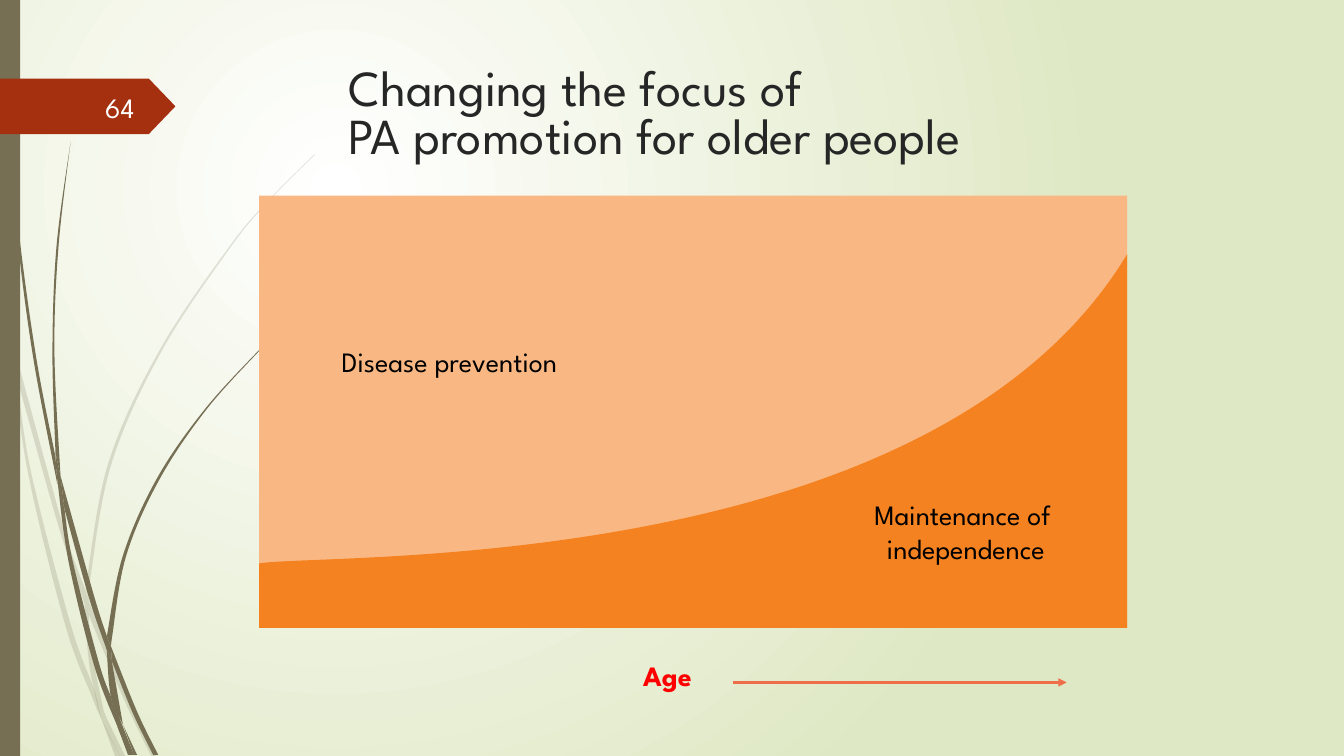
from lxml.etree import SubElement
from pptx import Presentation
from pptx.dml.color import RGBColor
from pptx.enum.shapes import MSO_CONNECTOR, MSO_SHAPE
from pptx.enum.text import MSO_ANCHOR, MSO_AUTO_SIZE, PP_ALIGN
from pptx.oxml.ns import qn
from pptx.util import Inches, Pt

WHITE = RGBColor(0xFF, 0xFF, 0xFF)
PALE_GREEN = RGBColor(0xDF, 0xE8, 0xC4)
OLIVE = RGBColor(0x76, 0x6F, 0x54)
RUST = RGBColor(0xA5, 0x30, 0x10)
PEACH = RGBColor(0xF9, 0xB8, 0x83)
ORANGE = RGBColor(0xF5, 0x82, 0x20)
CORAL = RGBColor(0xEE, 0x6E, 0x4B)
RED = RGBColor(0xFF, 0x00, 0x00)
BLACK = RGBColor(0x00, 0x00, 0x00)
CHARCOAL = RGBColor(0x26, 0x26, 0x26)
NUMBER_WHITE = RGBColor(0xFE, 0xFF, 0xFF)

FONT = "League Spartan"
LEFT, TOP, RIGHT, BOTTOM = 2.57, 1.94, 11.18, 6.23

PALE_STRANDS = [
    [[(0, 2.82), (0.09, 3.22), (0.11, 3.5)], [(0.1, 3.44), (0, 2.99)]],
    [[(0.14, 3.45), (0.62, 5.2), (0.85, 5.86)], [(0.84, 5.99), (0.58, 5.22), (0.17, 3.76)]],
    [[(0.88, 5.96), (1.27, 6.92), (1.55, 7.5)], [(1.5, 7.5), (1.23, 6.94), (0.88, 6.1)]],
    [[(1.05, 7.11), (1.24, 7.5)], [(1.19, 7.5)]],
    [[(0.11, 3.5), (0.28, 4.7), (0.65, 6.21), (0.92, 6.93), (1.01, 7.14)],
     [(0.99, 7.07), (0.93, 6.83), (0.7, 6.19), (0.31, 4.69), (0.17, 3.76)]],
    [[(0.84, 5.99), (0.87, 6.46), (0.93, 6.83), (1.05, 7.11)],
     [(1.03, 7.06), (0.91, 6.46), (0.88, 6.1)]],
    [[(0.88, 5.84), (1.1, 4.62), (1.6, 3.49), (2.29, 2.45), (2.68, 1.98), (3.12, 1.54)],
     [(3.12, 1.53), (2.68, 1.97), (2.28, 2.44), (1.58, 3.48), (1.07, 4.61), (0.85, 5.84)],
     [(0.88, 5.96)]],
    [[(1.01, 7.14), (1.14, 7.5)], [(1.19, 7.5)]],
    [[(0.88, 6.1), (0.88, 5.96)], [(0.85, 5.86), (0.84, 5.99)]],
    [[(0.93, 6.83), (1.01, 7.14), (1.19, 7.5)], [(1.05, 7.11), (0.96, 6.92)]],
]
DARK_STRANDS = [
    [[(0.04, 0), (0.08, 1.09), (0.19, 2.32), (0.36, 3.55), (0.55, 4.53)],
     [(0.57, 4.81), (0.33, 3.55), (0.17, 2.33), (0.07, 1.1), (0.03, 0)]],
    [[(0.6, 4.72), (0.93, 5.9), (1.06, 6.31)], [(1.06, 6.45), (0.88, 5.92), (0.64, 5.05)]],
    [[(1.1, 6.41), (1.36, 7.06), (1.57, 7.49)], [(1.52, 7.49), (1.32, 7.08), (1.11, 6.56)]],
    [[(0.57, 4.77), (0.68, 5.57), (0.93, 6.59), (1.17, 7.22)],
     [(1.1, 6.91), (0.98, 6.57), (0.72, 5.56), (0.64, 5.05)]],
    [[(0.6, 4.72), (0.54, 3.49), (0.58, 2.45), (0.7, 1.41)],
     [(0.7, 1.41), (0.56, 2.45), (0.52, 3.49), (0.55, 4.49)]],
    [[(1.22, 7.19), (1.36, 7.49)], [(1.33, 7.49)]],
    [[(0.55, 4.49), (0.57, 4.77), (0.64, 5.05)], [(0.6, 4.72)]],
    [[(1.11, 6.33), (1.25, 5.52), (1.58, 4.76), (2.05, 4.06), (2.61, 3.44)],
     [(2.6, 3.44), (2.04, 4.05), (1.56, 4.74), (1.22, 5.51), (1.06, 6.31)], [(1.1, 6.41)]],
    [[(1.17, 7.22), (1.27, 7.49)], [(1.31, 7.49)]],
    [[(1.06, 6.45), (1.1, 6.91), (1.22, 7.19)], [(1.11, 6.56)]],
    [[(1.06, 6.31), (1.06, 6.45)], [(1.11, 6.56), (1.1, 6.41)]],
    [[(1.1, 6.91), (1.17, 7.22), (1.3, 7.49)], [(1.33, 7.49), (1.16, 7.06)]],
]


def straight(start, end):
    return [start, end, end]


def smooth_edge(points):
    padded = [points[0], *points, points[-1]]
    curve = []
    for before, start, end, after in zip(padded, padded[1:], padded[2:], padded[3:]):
        first = [s + (e - b) / 6 for b, s, e in zip(before, start, end)]
        second = [e - (a - s) / 6 for s, e, a in zip(start, end, after)]
        curve += [first, second, end]
    return curve


def strand_outline(edges):
    outline = [edges[0][0]]
    for edge in edges:
        if edge[0] != outline[-1]:
            outline += straight(outline[-1], edge[0])
        outline += smooth_edge(edge)
    return outline


def paint(shape, color, opacity=100):
    shape.shadow.inherit = False
    shape.fill.solid()
    shape.fill.fore_color.rgb = color
    shape.line.fill.background()
    if opacity < 100:
        fill_color = next(shape._element.spPr.iter(qn("a:srgbClr")))
        SubElement(fill_color, qn("a:alpha"), val=str(opacity * 1000))


def add_curved_outline(shapes, outline, color, opacity=100):
    start, *controls = [tuple(map(Inches, point)) for point in outline]
    builder = shapes.build_freeform(*start)
    builder.add_line_segments(controls, close=True)
    shape = builder.convert_to_shape()
    lines = list(shape._element.iter(qn("a:lnTo")))
    for index in range(0, len(lines), 3):
        curve = lines[index]
        curve.tag = qn("a:cubicBezTo")
        for line in lines[index + 1:index + 3]:
            curve.append(line[0])
            line.getparent().remove(line)
    paint(shape, color, opacity)


def add_wisps(page, strands, opacity=100):
    group = page.shapes.add_group_shape()
    for edges in strands:
        add_curved_outline(group.shapes, strand_outline(edges), OLIVE, opacity)


def add_block(page, kind, area, color):
    block = page.shapes.add_shape(kind, *map(Inches, area))
    paint(block, color)
    return block


def add_text(page, area, lines, color, size=20, bold=False, frame=None, layout=None):
    box = page.shapes.add_textbox(*map(Inches, area))
    for name, value in (frame or {}).items():
        setattr(box.text_frame, name, value)
    box.text_frame.text = "\n".join(lines)
    for para in box.text_frame.paragraphs:
        for name, value in (layout or {}).items():
            setattr(para, name, value)
        for span in para.runs:
            for name, value in {"name": FONT, "size": Pt(size), "bold": bold}.items():
                setattr(span.font, name, value)
            span.font.color.rgb = color


def add_arrow(page, start, end):
    arrow = page.shapes.add_connector(MSO_CONNECTOR.STRAIGHT, *map(Inches, start + end))
    arrow.line.color.rgb = CORAL
    arrow.line.width = Pt(2)
    SubElement(arrow.line._get_or_add_ln(), qn("a:tailEnd"), type="triangle")
    SubElement(arrow._element.spPr, qn("a:effectLst"))


def set_background(page):
    fill = page.background.fill
    fill.gradient()
    for stop, color in zip(fill.gradient_stops, (WHITE, PALE_GREEN)):
        stop.color.rgb = color
    gradient = next(page.element.iter(qn("a:gradFill")))
    gradient.remove(gradient.find(qn("a:lin")))
    circle = SubElement(gradient, qn("a:path"), {"path": "circle"})
    SubElement(circle, qn("a:fillToRect"), l="50000", t="50000", r="100000", b="100000")


def add_focus_diagram(page):
    add_block(page, MSO_SHAPE.RECTANGLE, (LEFT, TOP, RIGHT - LEFT, BOTTOM - TOP), PEACH)
    start, low_left, low_right, end = (LEFT, 5.59), (LEFT, BOTTOM), (RIGHT, BOTTOM), (RIGHT, 2.52)
    independence = [start, *straight(start, low_left), *straight(low_left, low_right),
                    *straight(low_right, end), (9.24, 5.75), (3.19, 5.48), start]
    add_curved_outline(page.shapes, independence, ORANGE)
    label = {"word_wrap": False, "auto_size": MSO_AUTO_SIZE.SHAPE_TO_FIT_TEXT}
    add_text(page, (3.29, 3.37, 2.79, 0.44), ["Disease prevention"], BLACK, frame=label)
    add_text(page, (8.34, 4.89, 2.48, 0.77), ["Maintenance of ", "independence"], BLACK,
             frame=label, layout={"alignment": PP_ALIGN.CENTER})
    add_text(page, (6.28, 6.48, 0.77, 0.44), ["Age"], RED, bold=True, frame=label)
    add_arrow(page, (7.27, 6.77), (10.58, 6.77))


def main():
    deck = Presentation()
    deck.slide_width, deck.slide_height = Inches(13.33), Inches(7.5)
    page = deck.slides.add_slide(deck.slide_layouts[6])
    set_background(page)
    add_wisps(page, PALE_STRANDS, opacity=20)
    add_wisps(page, DARK_STRANDS)
    add_block(page, MSO_SHAPE.RECTANGLE, (0, 0, 0.2, 7.5), OLIVE)
    tag = add_block(page, MSO_SHAPE.PENTAGON, (0, 0.78, 1.74, 0.55), RUST)
    tag.adjustments[0] = 0.48
    add_text(page, (3.36, 0.62, 7.82, 1.08),
             ["Changing the focus of \vPA promotion for older people"], CHARCOAL, size=36,
             frame={"word_wrap": True}, layout={"line_spacing": 0.8})
    add_text(page, (0.58, 0.86, 0.85, 0.4), ["64"], NUMBER_WHITE,
             frame={"word_wrap": True, "vertical_anchor": MSO_ANCHOR.MIDDLE},
             layout={"alignment": PP_ALIGN.RIGHT})
    add_focus_diagram(page)
    deck.save("out.pptx")


if __name__ == "__main__":
    main()
